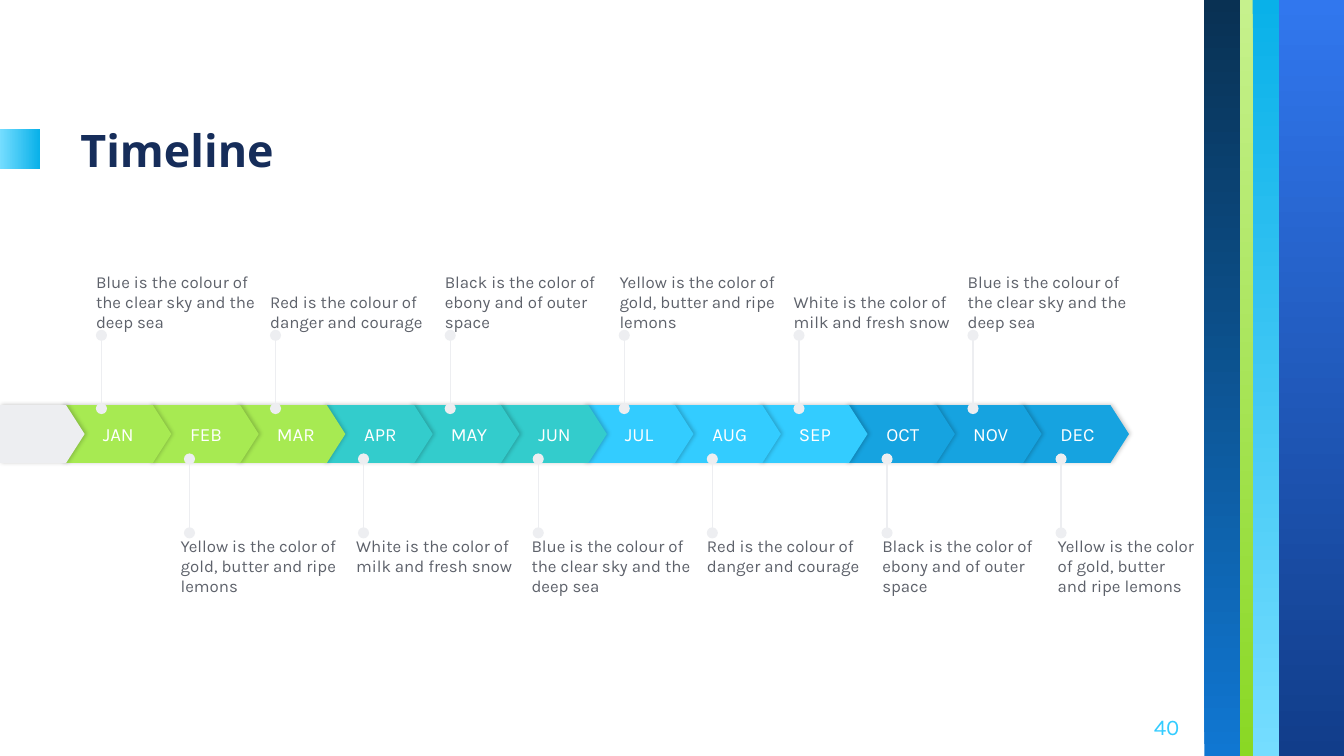
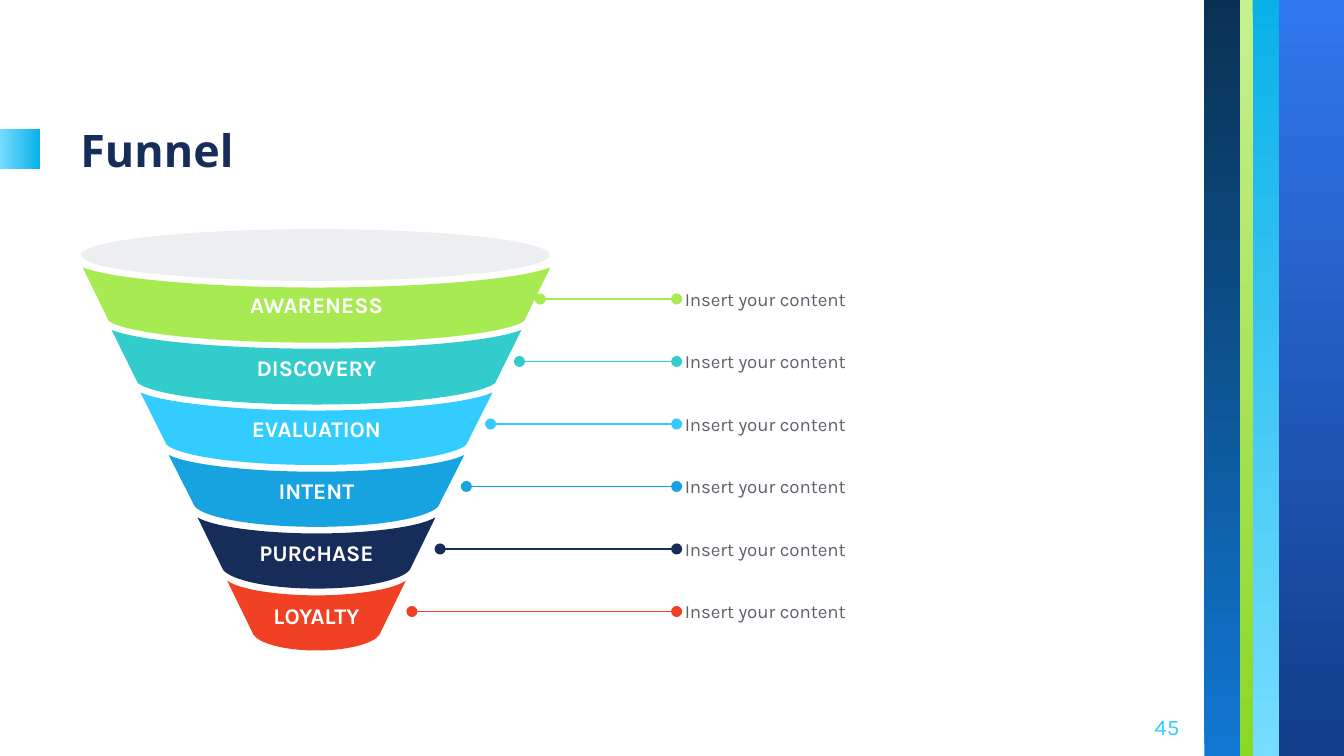
from dataclasses import dataclass

from lxml import etree
from pptx import Presentation
from pptx import util as u
from pptx.dml.color import RGBColor
from pptx.enum import shapes as s, text as t
from pptx.oxml import ns

PX = 4572  # EMU in one px, 200 px to the inch
WIDE, HIGH = 2000, 1125
HUE = {
    "navy": "162D5A", "lime": "A7EA52", "teal": "33CCCC", "sky": "33CCFF",
    "blue": "16A3E0", "red": "F14124", "pale": "EDEEF1", "grey": "5E626B",
    "white": "FFFFFF", "royal": "3177EE", "ink": "113D8A", "ice": "75DDFF",
    "cyan": "09B1E9", "mint": "C6F18D", "leaf": "8AD824", "azure": "1077D2",
    "deep": "093153", "black": "000000",
}
BODY, HEAD = "Karla", "Noto Sans"
LEFT, MID, RIGHT = t.PP_ALIGN.LEFT, t.PP_ALIGN.CENTER, t.PP_ALIGN.RIGHT
TOP, HALF, BASE = t.MSO_ANCHOR.TOP, t.MSO_ANCHOR.MIDDLE, t.MSO_ANCHOR.BOTTOM
Dot = tuple[float, float]


@dataclass(frozen=True)
class Band:
    x: int
    y: int
    w: int
    h: int
    start: str
    end: str
    turn: int = 0


@dataclass(frozen=True)
class Row:
    """Pins and notes on one side of the timeline."""
    pin: int
    near: int
    far: int
    x: int
    gap: float
    y: int
    anchor: t.MSO_ANCHOR
    notes: tuple[str, ...]


@dataclass(frozen=True)
class Tier:
    """One funnel layer: top corner, top dip, lower corner, floor, pin start."""
    name: str
    hue: str
    left: int
    top: int
    dip: int
    edge: int
    low: int
    floor: int
    pin: int


BANDS = (
    Band(1902, 0, 98, HIGH, "royal", "ink"),
    Band(1863, 0, 40, HIGH, "ice", "cyan", 180),
    Band(1845, 0, 19, HIGH, "mint", "leaf"),
    Band(1792, 0, 53, HIGH, "azure", "deep", 180),
    Band(0, 192, 59, 59, "ice", "cyan", 270),
)
MONTHS = "JAN FEB MAR APR MAY JUN JUL AUG SEP OCT NOV DEC".split()
TERMS = ("lime", "teal", "sky", "blue")
BLUE = "Blue is the colour of the clear sky and the deep sea"
RED = "Red is the colour of danger and courage"
BLACK = "Black is the color of ebony and of outer space"
GOLD = "Yellow is the color of gold, butter and ripe lemons"
MILK = "White is the color of milk and fresh snow"
ROWS = (
    Row(151, 608, 499, 143, 259.5, 378, BASE,
        (BLUE, RED, BLACK, GOLD, MILK, BLUE)),
    Row(282, 793, 683, 269, 261, 797, TOP,
        (GOLD, MILK, BLUE, RED, BLACK, GOLD)),
)
CORE = 471  # centre line of the funnel
RIM, FOOT = (0.14, 0.62, 0.58), (0.08, 0.53, 0.47)  # bends of the curves
TIERS = (
    Tier("AWARENESS", "lime", 123, 398, 428, 162, 478, 510, 804),
    Tier("DISCOVERY", "teal", 166, 491, 519, 205, 570, 602, 773),
    Tier("EVALUATION", "sky", 209, 584, 611, 248, 662, 692, 730),
    Tier("INTENT", "blue", 251, 677, 702, 290, 754, 784, 694),
    Tier("PURCHASE", "navy", 294, 770, 794, 332, 848, 876, 655),
    Tier("LOYALTY", "red", 338, 864, 886, 377, 944, 968, 613),
)


def px(n: float) -> u.Emu:
    return u.Emu(round(n * PX))


def rgb(name: str) -> RGBColor:
    return RGBColor.from_string(HUE[name])


def write(shape, words: str, *, size=10, hue="white", font=BODY, bold=False,
          align=LEFT, anchor=HALF, pad=(0, 0, 0, 0)) -> None:
    frame = shape.text_frame
    frame.word_wrap = True
    frame.vertical_anchor = anchor
    (frame.margin_left, frame.margin_top,
     frame.margin_right, frame.margin_bottom) = map(px, pad)
    para = frame.paragraphs[0]
    para.alignment = align
    run = para.add_run()
    run.text = words
    run.font.size = u.Pt(size)
    run.font.name = font
    run.font.bold = bold
    run.font.color.rgb = rgb(hue)


def label(slide, words: str, x: int, y: int, w: int, h: int, **form) -> None:
    write(slide.shapes.add_textbox(px(x), px(y), px(w), px(h)), words, **form)


def paint(shape, hue: str) -> None:
    shape.shadow.inherit = False
    shape.line.fill.background()
    shape.fill.solid()
    shape.fill.fore_color.rgb = rgb(hue)


def block(slide, kind: s.MSO_SHAPE, x: int, y: int, w: int, h: int, hue: str):
    shape = slide.shapes.add_shape(kind, px(x), px(y), px(w), px(h))
    paint(shape, hue)
    return shape


def stripe(slide, band: Band) -> None:
    shape = block(slide, s.MSO_SHAPE.RECTANGLE,
                  band.x, band.y, band.w, band.h, band.start)
    shape.rotation = band.turn
    shape.fill.gradient()
    shape.fill.gradient_angle = 270
    for stop, hue in zip(shape.fill.gradient_stops, (band.start, band.end)):
        stop.color.rgb = rgb(hue)


def pin(slide, x1: int, y1: int, x2: int, y2: int, hue: str) -> None:
    link = slide.shapes.add_connector(
        s.MSO_CONNECTOR.STRAIGHT, px(x1), px(y1), px(x2), px(y2))
    link.line.color.rgb = rgb(hue)
    link.line.width = u.Pt(0.75)
    line = link.line._get_or_add_ln()
    for end in ("a:headEnd", "a:tailEnd"):
        etree.SubElement(line, ns.qn(end), type="oval")
    etree.SubElement(link._element.spPr, ns.qn("a:effectLst"))


def arrow(slide, x: int, w: int, hue: str):
    shape = block(slide, s.MSO_SHAPE.PENTAGON, x, 603, w, 86, hue)
    shape.adjustments[0] = 0.32
    # Soft shadow towards the right
    glow = shape._element.spPr.find(ns.qn("a:effectLst"))
    cast = etree.SubElement(
        glow, ns.qn("a:outerShdw"), blurRad=str(u.Pt(2.2)),
        dist=str(u.Pt(0.8)), dir="0", algn="ctr", rotWithShape="0")
    tint = etree.SubElement(cast, ns.qn("a:srgbClr"), val=HUE["black"])
    etree.SubElement(tint, ns.qn("a:alpha"), val="20000")
    return shape


def bend(x: int, y: int, end: int, rate: Dot) -> list[Dot]:
    """Control points from a corner to the centre line."""
    w, h = CORE - x, end - y
    return [(x + rate[0] * w, y + rate[1] * h), (x + rate[2] * w, end)]


def flip(dots: list[Dot]) -> list[Dot]:
    return [(2 * CORE - x, y) for x, y in reversed(dots)]


def layer(slide, tier: Tier) -> None:
    rim = bend(tier.left, tier.top, tier.dip, RIM)
    foot = bend(tier.edge, tier.low, tier.floor, FOOT)
    nook, tip = (tier.left, tier.top), (tier.edge, tier.low)
    # Each stop with the control points that lead to it
    legs = [
        (tip, []), ((CORE, tier.floor), foot), (*flip([tip]), flip(foot)),
        (*flip([nook]), []), ((CORE, tier.dip), flip(flip(rim[::-1]))[::-1]),
        (nook, rim[::-1]),
    ]
    legs[4] = ((CORE, tier.dip), flip(rim[::-1]))
    pen = slide.shapes.build_freeform(*map(px, nook))
    pen.add_line_segments([tuple(map(px, stop)) for stop, _ in legs])
    shape = pen.convert_to_shape()
    # Turn straight legs into curves
    lines = shape._element.spPr.findall(".//" + ns.qn("a:lnTo"))
    for line, (_, pulls) in zip(lines, legs):
        if pulls:
            line.tag = ns.qn("a:cubicBezTo")
        for i, (x, y) in enumerate(pulls):
            line.insert(i, line.makeelement(
                ns.qn("a:pt"), {"x": str(px(x - tier.left)),
                                "y": str(px(y - tier.top))}))
    paint(shape, tier.hue)
    write(shape, tier.name, size=12, bold=True, align=MID, pad=(14, 8, 14, 8))


def page(deck, title: str, number: int):
    slide = deck.slides.add_slide(deck.slide_layouts[6])
    for band in BANDS:
        stripe(slide, band)
    pad = (20, 20, 20, 20)
    label(slide, title, 100, 123, 1160, 160, size=24, hue="navy", font=HEAD,
          bold=True, anchor=BASE, pad=pad)
    label(slide, str(number), 1655, 1038, 120, 86, size=12, hue="sky",
          align=RIGHT, pad=pad)
    return slide


def times(deck) -> None:
    slide = page(deck, "Timeline", 40)
    # Months, last one at the back
    for i, month in reversed(list(enumerate(MONTHS))):
        shape = arrow(slide, round(93 + 129.55 * i), 162, TERMS[i // 3])
        write(shape, month, pad=(60, 0, 0, 0))
    arrow(slide, 0, 126, "pale")
    # Pins and notes
    for row in ROWS:
        for i, note in enumerate(row.notes):
            x = round(row.pin + 259.45 * i)
            pin(slide, x, row.near, x, row.far, "pale")
            left = round(row.x + row.gap * i)
            label(slide, note, left, row.y, min(246, 1778 - left), 116,
                  size=9, hue="grey", anchor=row.anchor)


def funnel(deck) -> None:
    slide = page(deck, "Funnel", 45)
    for tier in TIERS:
        layer(slide, tier)
    block(slide, s.MSO_SHAPE.OVAL, 121, 341, 697, 77, "pale")
    # Pins and notes
    for i, tier in enumerate(TIERS):
        y = round(445 + 93.1 * i)
        pin(slide, tier.pin, y, 1007, y, tier.hue)
        label(slide, "Insert your content", 1019, y - 33, 538, 66, hue="grey")


def main() -> None:
    deck = Presentation()
    deck.slide_width, deck.slide_height = px(WIDE), px(HIGH)
    times(deck)
    funnel(deck)
    deck.save("out.pptx")


if __name__ == "__main__":
    main()
